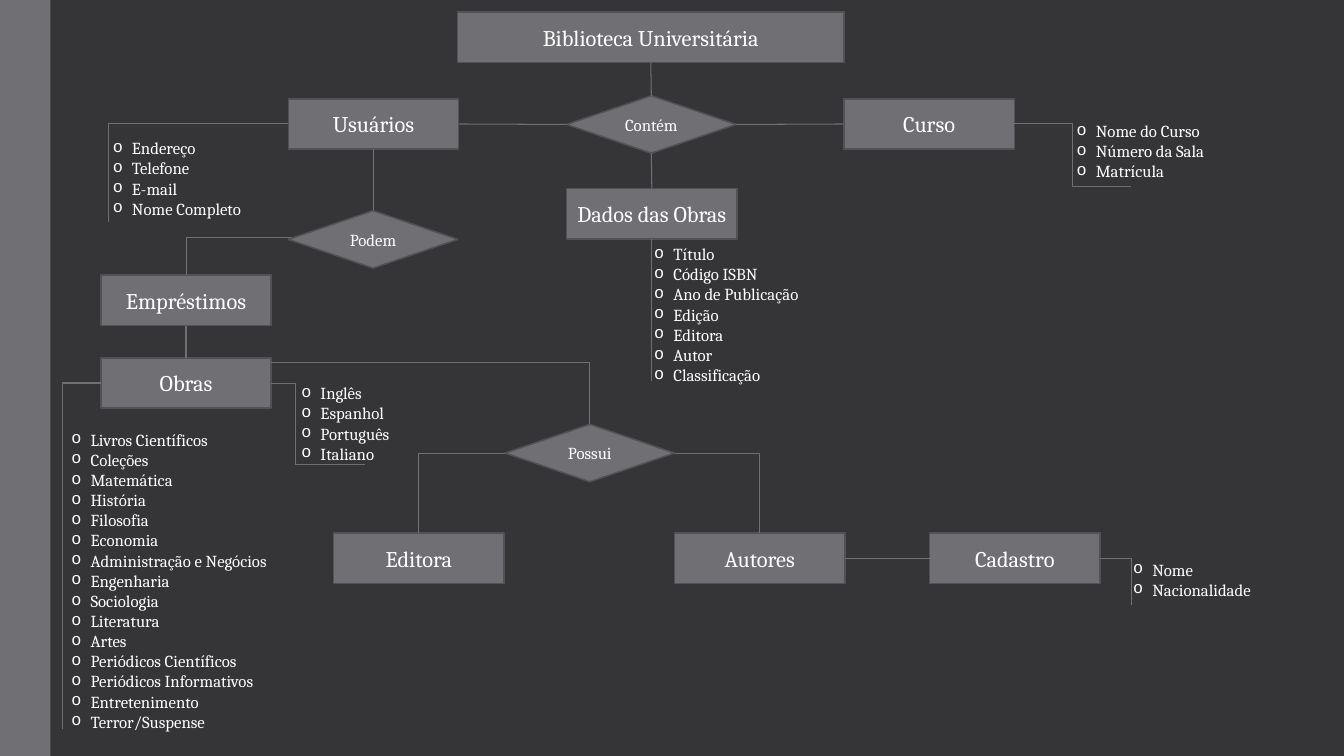
from dataclasses import dataclass

import pptx
import pptx.dml.color
import pptx.enum.shapes
import pptx.enum.text
import pptx.oxml.ns
import pptx.util
from lxml import etree

Inches = pptx.util.Inches
qn = pptx.oxml.ns.qn
SHAPES = pptx.enum.shapes.MSO_SHAPE
CONNECTORS = pptx.enum.shapes.MSO_CONNECTOR
CENTER = pptx.enum.text.PP_ALIGN.CENTER


@dataclass(frozen=True)
class Theme:
    background: str = "353537"
    fill: str = "6F6F74"
    outline: str = "525256"
    text: str = "FFFFFF"
    font: str = "Cambria"
    bullet_font: str = "Courier New"
    entity_size: int = 16
    detail_size: int = 12
    outline_width: float = 1.1
    line_width: float = 0.75


THEME = Theme()


@dataclass(frozen=True)
class Box:
    """A rectangle in inches, with the points where lines meet its edges."""
    left: float
    top: float
    width: float
    height: float

    def inside(self, x, y, width, height):
        return Box(self.left + x, self.top + y, width, height)

    def lengths(self):
        return [Inches(n) for n in (self.left, self.top, self.width, self.height)]

    def point(self, across, down):
        return self.left + across * self.width, self.top + down * self.height

    @property
    def west(self):
        return self.point(0, 0.5)

    @property
    def east(self):
        return self.point(1, 0.5)

    @property
    def north(self):
        return self.point(0.5, 0)

    @property
    def south(self):
        return self.point(0.5, 1)


def color(value):
    return pptx.dml.color.RGBColor.from_string(value)


def write(para, text, size, align=None, bullet=None):
    para.alignment = align
    if bullet:
        props = para._p.get_or_add_pPr()
        props.set("marL", str(Inches(0.19)))
        props.set("indent", str(-Inches(0.19)))
        etree.SubElement(props, qn("a:buFont"), typeface=THEME.bullet_font)
        etree.SubElement(props, qn("a:buChar"), char=bullet)
    span = para.add_run()
    span.text = text
    span.font.name = THEME.font
    span.font.size = pptx.util.Pt(size)
    span.font.color.rgb = color(THEME.text)


def add_panel(page, box, kind, outlined=True):
    shape = page.shapes.add_shape(kind, *box.lengths())
    shape.shadow.inherit = False
    shape.fill.solid()
    shape.fill.fore_color.rgb = color(THEME.fill)
    if outlined:
        shape.line.color.rgb = color(THEME.outline)
        shape.line.width = pptx.util.Pt(THEME.outline_width)
    else:
        shape.line.fill.background()
    return shape


def add_node(page, box, text, kind, size):
    frame = add_panel(page, box, kind).text_frame
    frame.margin_left = frame.margin_right = Inches(0.05)
    frame.vertical_anchor = pptx.enum.text.MSO_ANCHOR.MIDDLE
    frame.word_wrap = True
    write(frame.paragraphs[0], text, size, align=CENTER)
    return box


def add_entity(page, area, x, y, text, width=1.69):
    box = area.inside(x, y, width, 0.5)
    return add_node(page, box, text, SHAPES.RECTANGLE, THEME.entity_size)


def add_relation(page, area, x, y, text):
    box = area.inside(x, y, 1.68, 0.57)
    return add_node(page, box, text, SHAPES.FLOWCHART_DECISION, THEME.detail_size)


def add_attributes(page, area, x, y, names, width=1.68):
    box = area.inside(x, y, width, 0.1 + 0.2 * len(names))
    frame = page.shapes.add_textbox(*box.lengths()).text_frame
    frame.word_wrap = True
    frame.auto_size = pptx.enum.text.MSO_AUTO_SIZE.SHAPE_TO_FIT_TEXT
    for index, name in enumerate(names):
        para = frame.add_paragraph() if index else frame.paragraphs[0]
        write(para, name, THEME.detail_size, bullet="o")
    return box


def add_line(page, start, end, kind=CONNECTORS.STRAIGHT):
    line = page.shapes.add_connector(kind, *[Inches(n) for n in (*start, *end)])
    line.line.color.rgb = color(THEME.fill)
    line.line.width = pptx.util.Pt(THEME.line_width)
    etree.SubElement(line._element.spPr, qn("a:effectLst"))
    return line


def add_corner(page, start, end):
    """Runs across, then down, with a single bend."""
    line = add_line(page, start, end, CONNECTORS.ELBOW)
    line._element.spPr.find(qn("a:prstGeom")).set("prst", "bentConnector2")


def add_step(page, start, end, bend=0.5, downward=False):
    """Bends twice, at the given share of the way; downward leaves vertically."""
    if downward:
        (x1, y1), (x2, y2) = start, end
        middle_x, middle_y = (x1 + x2) / 2, (y1 + y2) / 2
        half_x, half_y = (y2 - y1) / 2, (x1 - x2) / 2
        start = middle_x - half_x, middle_y - half_y
        end = middle_x + half_x, middle_y + half_y
    line = add_line(page, start, end, CONNECTORS.ELBOW)
    props = line._element.spPr
    if downward:
        props.find(qn("a:xfrm")).set("rot", "5400000")
    guides = props.find(qn("a:prstGeom")).find(qn("a:avLst"))
    etree.SubElement(guides, qn("a:gd"), name="adj1", fmla=f"val {round(bend * 100000)}")


def draw_catalog(page, area):
    library = add_entity(page, area, 3.52, 0, "Biblioteca Universitária", width=3.83)
    users = add_entity(page, area, 1.84, 0.86, "Usuários")
    course = add_entity(page, area, 7.35, 0.86, "Curso")
    records = add_entity(page, area, 4.6, 1.75, "Dados das Obras")
    contains = add_relation(page, area, 4.6, 0.83, "Contém")
    add_line(page, library.south, contains.north)
    add_line(page, users.east, contains.west)
    add_line(page, course.west, contains.east)
    add_line(page, contains.south, records.north)
    add_line(page, records.south, (records.south[0], area.top + 3.66))
    add_corner(page, users.west, (area.left + 0.06, area.top + 2.08))
    add_step(page, course.east, (area.left + 10.2, area.top + 1.73))
    add_attributes(page, area, 0, 1.2, ["Endereço", "Telefone", "E-mail", "Nome Completo"])
    add_attributes(page, area, 9.56, 1.03, ["Nome do Curso", "Número da Sala", "Matrícula"])
    add_attributes(page, area, 5.37, 2.25, [
        "Título", "Código ISBN", "Ano de Publicação", "Edição", "Editora", "Autor",
        "Classificação"], width=1.83)
    return users


def draw_loans(page, area, users):
    loans = add_entity(page, area, 0, 0.64, "Empréstimos")
    add_step(page, users.south, loans.north, bend=0.7, downward=True)
    add_relation(page, area, 1.86, 0, "Podem")
    return loans


def draw_works(page, area, loans):
    works = add_entity(page, area, 0.39, 0, "Obras")
    add_line(page, loans.south, works.north)
    add_corner(page, works.west, (area.left + 0.01, area.top + 3.68))
    add_step(page, works.east, (area.left + 3.01, area.top + 1.06), bend=0.26)
    add_attributes(page, area, 0, 0.66, [
        "Livros Científicos", "Coleções", "Matemática", "História", "Filosofia", "Economia",
        "Administração e Negócios", "Engenharia", "Sociologia", "Literatura", "Artes",
        "Periódicos Científicos", "Periódicos Informativos", "Entretenimento",
        "Terror/Suspense"], width=2.39)
    add_attributes(page, area, 2.28, 0.2, ["Inglês", "Espanhol", "Português", "Italiano"])
    return works


def draw_authorship(page, area, works):
    has = add_relation(page, area, 1.7, 0, "Possui")
    publisher = add_entity(page, area, 0, 1.08, "Editora")
    authors = add_entity(page, area, 3.38, 1.08, "Autores")
    register = add_entity(page, area, 5.91, 1.08, "Cadastro")
    add_corner(page, works.point(1, 0.1), has.north)
    add_corner(page, has.west, publisher.north)
    add_corner(page, has.east, authors.north)
    add_line(page, authors.east, register.west)
    add_corner(page, register.east, (area.left + 7.91, area.top + 1.79))
    add_attributes(page, area, 7.83, 1.29, ["Nome", "Nacionalidade"])


def main():
    deck = pptx.Presentation()
    deck.slide_width, deck.slide_height = Inches(13.33), Inches(7.5)
    page = deck.slides.add_slide(deck.slide_layouts[6])
    page.background.fill.solid()
    page.background.fill.fore_color.rgb = color(THEME.background)
    add_panel(page, Box(0, 0, 0.5, 7.5), SHAPES.RECTANGLE, outlined=False)
    users = draw_catalog(page, Box(1.02, 0.12, 11.24, 3.76))
    loans = draw_loans(page, Box(1, 2.09, 3.54, 1.14), users)
    works = draw_works(page, Box(0.61, 3.55, 3.96, 3.79), loans)
    draw_authorship(page, Box(3.31, 4.21, 9.52, 1.79), works)
    deck.save("out.pptx")


if __name__ == "__main__":
    main()
